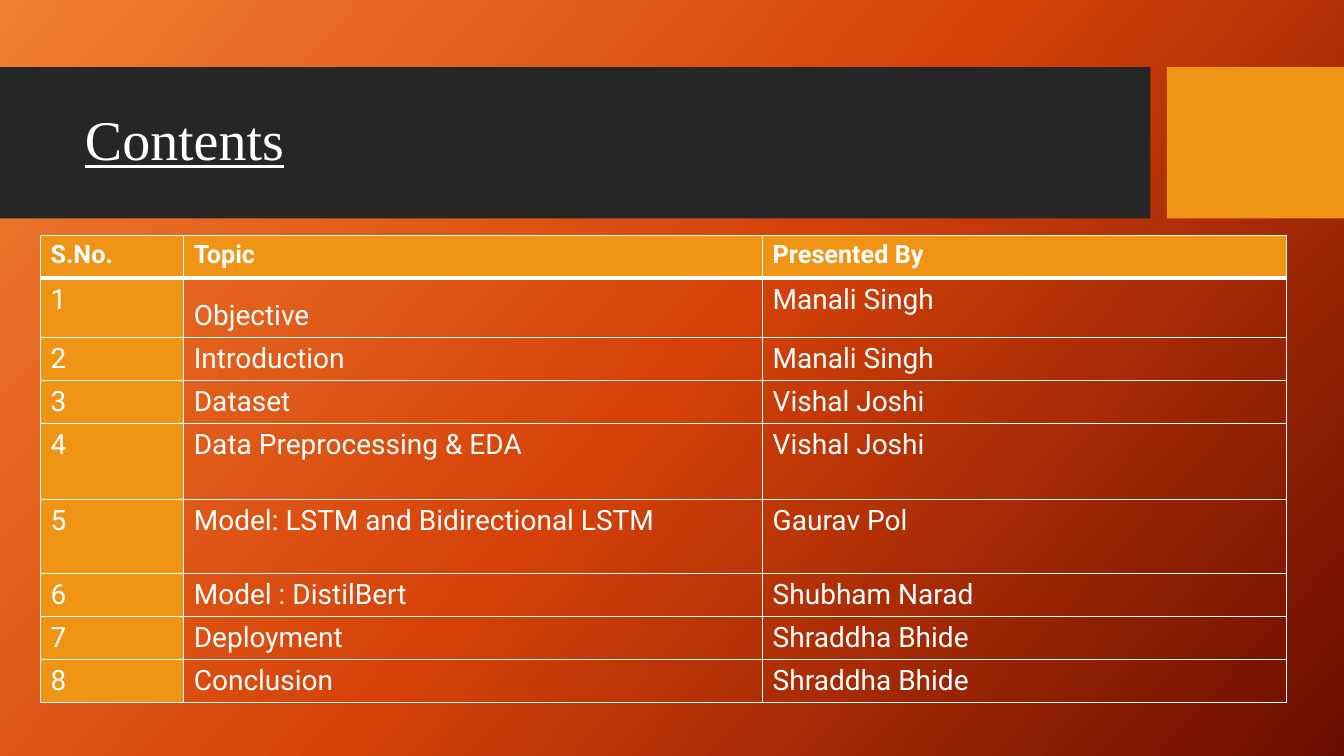
from copy import deepcopy
from dataclasses import dataclass

from lxml import etree
from pptx import Presentation
from pptx.dml.color import RGBColor
from pptx.enum.shapes import MSO_SHAPE
from pptx.enum.text import MSO_ANCHOR, MSO_AUTO_SIZE, PP_ALIGN
from pptx.oxml.ns import qn
from pptx.util import Pt

RECTANGLE = MSO_SHAPE.RECTANGLE
MIDDLE = MSO_ANCHOR.MIDDLE
NO_AUTOFIT = MSO_AUTO_SIZE.NONE
LEFT = PP_ALIGN.LEFT
TITLE_ONLY = 5


@dataclass(frozen=True)
class Theme:
    white: str = "FFFFFF"
    dark: str = "262626"
    accent: str = "F09415"
    gradient: tuple = ((0, "F18031"), (0.5, "D54209"), (1, "6A0D00"))
    gradient_angle: int = 318
    title_font: str = "Times New Roman"
    body_font: str = "Roboto"
    title_size: int = 40
    header_size: int = 18
    body_size: int = 20
    thin: int = 1
    thick: int = 3


class SlideBuilder:
    def __init__(self, presentation, theme):
        self.theme = theme
        self.slide = presentation.slides.add_slide(
            presentation.slide_layouts[TITLE_ONLY])

    def background(self):
        fill = self.slide.background.fill
        fill.gradient()
        fill.gradient_angle = self.theme.gradient_angle
        stop_list = next(self.slide.element.iter(qn("a:gsLst")))
        stop_list.append(deepcopy(stop_list[0]))
        for stop, (position, color) in zip(fill.gradient_stops, self.theme.gradient):
            stop.position = position
            stop.color.rgb = RGBColor.from_string(color)

    def bar(self, left, top, width, height, color):
        shape = self.slide.shapes.add_shape(
            RECTANGLE, Pt(left), Pt(top), Pt(width), Pt(height))
        shape.shadow.inherit = False
        shape.fill.solid()
        shape.fill.fore_color.rgb = RGBColor.from_string(color)
        shape.line.fill.background()

    def run(self, paragraph, text, font, size, bold=False, underline=False):
        run = paragraph.add_run()
        run.text = text
        run.font.name = font
        run.font.size = Pt(size)
        run.font.bold = bold
        run.font.underline = underline
        run.font.color.rgb = RGBColor.from_string(self.theme.white)

    def title(self, text, left, top, width, height):
        title = self.slide.shapes.title
        title.left, title.top = Pt(left), Pt(top)
        title.width, title.height = Pt(width), Pt(height)
        frame = title.text_frame
        frame.word_wrap = True
        frame.auto_size = NO_AUTOFIT
        frame.vertical_anchor = MIDDLE
        paragraph = frame.paragraphs[0]
        paragraph.alignment = LEFT
        paragraph.line_spacing = 0.9
        self.run(paragraph, text, self.theme.title_font,
                 self.theme.title_size, underline=True)
        # Bring the title in front of the bars
        title.element.getparent().append(title.element)

    def borders(self, cell, row):
        properties = cell._tc.get_or_add_tcPr()
        widths = {side: self.theme.thin for side in ("lnL", "lnR", "lnT", "lnB")}
        if row == 0:
            widths["lnB"] = self.theme.thick
        elif row == 1:
            widths["lnT"] = self.theme.thick
        for side, width in widths.items():
            line = etree.SubElement(properties, qn(f"a:{side}"), w=str(Pt(width)))
            solid = etree.SubElement(line, qn("a:solidFill"))
            etree.SubElement(solid, qn("a:srgbClr"), val=self.theme.white)

    def table(self, rows, left, top, column_widths, row_heights):
        table = self.slide.shapes.add_table(
            len(rows), len(column_widths), Pt(left), Pt(top),
            Pt(sum(column_widths)), Pt(sum(row_heights))).table
        table.horz_banding = False
        for column, width in zip(table.columns, column_widths):
            column.width = Pt(width)
        for row, height in zip(table.rows, row_heights):
            row.height = Pt(height)
        for row_index, values in enumerate(rows):
            header = row_index == 0
            size = self.theme.header_size if header else self.theme.body_size
            for column_index, text in enumerate(values):
                cell = table.cell(row_index, column_index)
                self.borders(cell, row_index)
                if header or column_index == 0:
                    cell.fill.solid()
                    cell.fill.fore_color.rgb = RGBColor.from_string(self.theme.accent)
                else:
                    cell.fill.background()
                self.run(cell.text_frame.paragraphs[0], text,
                         self.theme.body_font, size, bold=header)
        return table


def main():
    presentation = Presentation()
    presentation.slide_width, presentation.slide_height = Pt(960), Pt(540)
    theme = Theme()
    builder = SlideBuilder(presentation, theme)

    # Background and title band
    builder.background()
    builder.bar(0, 48, 821.8, 108, theme.dark)
    builder.bar(833.5, 48, 126.5, 108, theme.accent)
    builder.title("Contents", 53.5, 59, 756.5, 85)

    # Table of contents
    topics = [
        ("Objective", "Manali Singh"),
        ("Introduction", "Manali Singh"),
        ("Dataset", "Vishal Joshi"),
        ("Data Preprocessing & EDA", "Vishal Joshi"),
        ("Model: LSTM and Bidirectional LSTM", "Gaurav Pol"),
        ("Model : DistilBert", "Shubham Narad"),
        ("Deployment", "Shraddha Bhide"),
        ("Conclusion", "Shraddha Bhide"),
    ]
    rows = [("S.No.", "Topic", "Presented By")]
    rows += [(str(number), *topic) for number, topic in enumerate(topics, 1)]
    row_heights = [30.7] * len(rows)
    row_heights[1] = 42.4
    row_heights[4], row_heights[5] = 54, 53
    table = builder.table(rows, 29, 168, (102.3, 413.5, 374), row_heights)
    table.cell(1, 1).text_frame.paragraphs[0].line_spacing = 1.5

    presentation.save("out.pptx")


if __name__ == "__main__":
    main()
